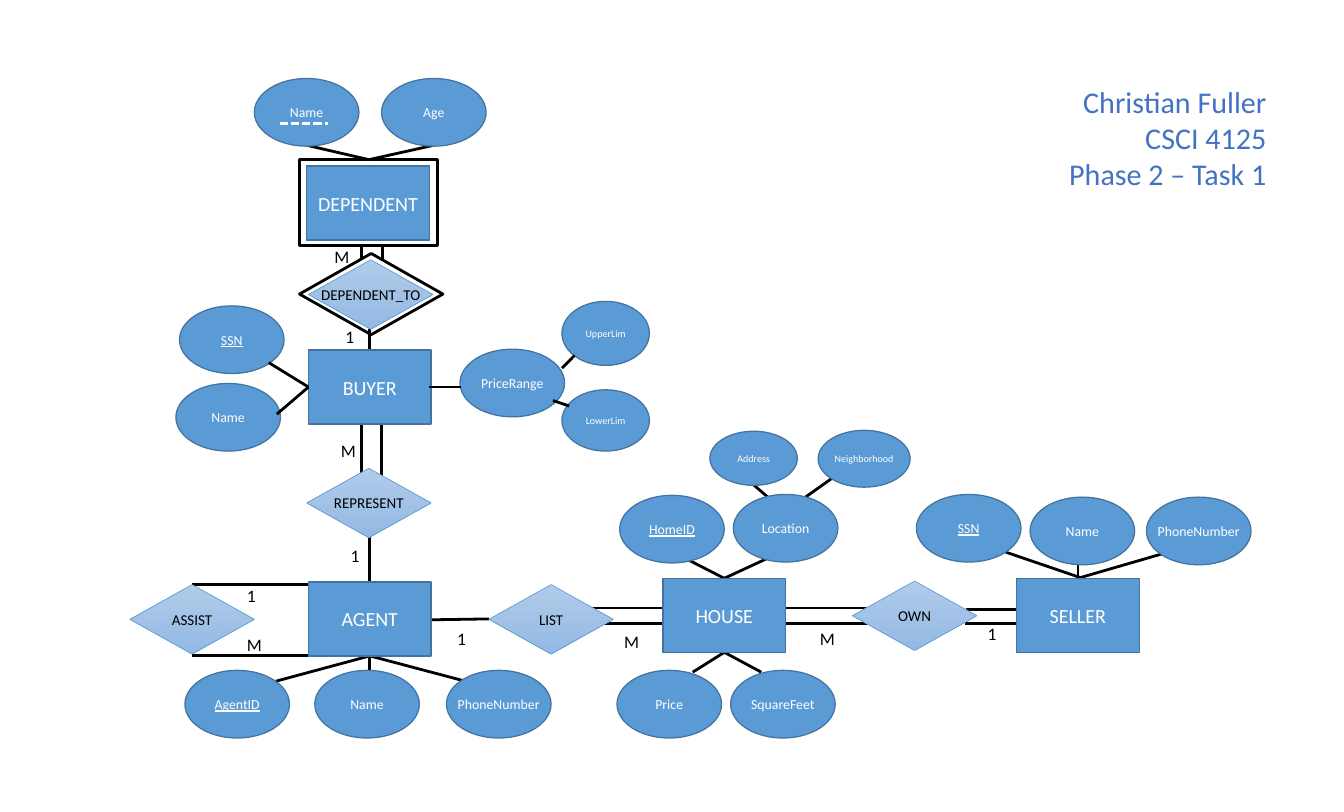
from lxml import etree
from pptx import Presentation
from pptx.dml.color import RGBColor
from pptx.enum.dml import MSO_LINE
from pptx.enum.shapes import MSO_CONNECTOR, MSO_SHAPE
from pptx.enum.text import MSO_ANCHOR, MSO_AUTO_SIZE, PP_ALIGN
from pptx.oxml.ns import qn
from pptx.util import Inches, Pt

RECTANGLE, OVAL, DIAMOND = MSO_SHAPE.RECTANGLE, MSO_SHAPE.OVAL, MSO_SHAPE.DIAMOND
STRAIGHT = MSO_CONNECTOR.STRAIGHT
DASH = MSO_LINE.SQUARE_DOT
MIDDLE, TOP = MSO_ANCHOR.MIDDLE, MSO_ANCHOR.TOP
LEFT, CENTER, RIGHT = PP_ALIGN.LEFT, PP_ALIGN.CENTER, PP_ALIGN.RIGHT

COLORS = {
    "blue": "5B9BD5", "edge": "43739E", "pale": "B1CBE9", "deep": "93B9E4",
    "black": "000000", "white": "FFFFFF", "title": "4472C4",
}
FONT = "Calibri"
ENTITY = (1.36, 0.82)
RELATION = (1.38, 0.77)
ATTRIBUTE = (1.16, 0.75)
LABEL_WIDTHS = {"1": 0.3, "M": 0.37}


def color(name):
    return RGBColor.from_string(COLORS[name])


def format_para(para, size, tint, align):
    para.alignment = align
    para.font.name = FONT
    para.font.size = Pt(size)
    para.font.color.rgb = color(tint)


def add_block(page, kind, box, line, width):
    """Outlined preset shape without fill; box is left, top, width, height."""
    block = page.shapes.add_shape(kind, *map(Inches, box))
    block.shadow.inherit = False
    block.fill.background()
    block.line.color.rgb = color(line)
    block.line.width = Pt(width)
    return block


def add_node(page, kind, box, text, size, tint="white", key=False):
    """Filled shape with a centred name, underlined when it is a key."""
    shaded = kind == DIAMOND
    node = add_block(page, kind, box, "blue" if shaded else "edge", 0.5 if shaded else 1)
    if shaded:
        node.fill.gradient()
        node.fill.gradient_angle = 270
        for stop, name in zip(node.fill.gradient_stops, ("pale", "deep")):
            stop.color.rgb = color(name)
    else:
        node.fill.solid()
        node.fill.fore_color.rgb = color("blue")
    frame = node.text_frame
    frame.word_wrap = False
    frame.vertical_anchor = MIDDLE
    para = frame.paragraphs[0]
    para.text = text
    format_para(para, size, tint, CENTER)
    if key:
        para.font.underline = True


def add_link(page, origin, ends, tint="black"):
    """Line whose ends (x1, y1, x2, y2) are measured from origin."""
    left, top = origin
    x1, y1, x2, y2 = ends
    link = page.shapes.add_connector(
        STRAIGHT, Inches(left + x1), Inches(top + y1), Inches(left + x2), Inches(top + y2))
    link.line.color.rgb = color(tint)
    link.line.width = Pt(2.25)
    etree.SubElement(link._element.spPr, qn("a:effectLst"))
    return link


def add_label(page, left, top, text):
    box = page.shapes.add_textbox(
        Inches(left), Inches(top), Inches(LABEL_WIDTHS[text]), Inches(0.34))
    box.text_frame.word_wrap = True
    para = box.text_frame.paragraphs[0]
    para.text = text
    format_para(para, 14, "black", LEFT)


def add_entity(page, origin, name, attributes, links, links_on_top=False):
    """Entity at origin with its attributes and links, placed relative to it."""
    left, top = origin

    def draw_links():
        for ends in links:
            add_link(page, origin, ends)

    if not links_on_top:
        draw_links()
    add_node(page, RECTANGLE, (*origin, *ENTITY), name, 16)
    for text, x, y, *size in attributes:
        box = (left + x, top + y, *(size or ATTRIBUTE))
        add_node(page, OVAL, box, text, 8 if size else 11,
                 key=text in ("SSN", "HomeID", "AgentID"))
    if links_on_top:
        draw_links()


def add_relationship(page, origin, name, links, labels):
    """Diamond at origin with its links and cardinalities, placed relative to it."""
    left, top = origin
    for ends in links:
        add_link(page, origin, ends)
    add_node(page, DIAMOND, (*origin, *RELATION), name, 12, "black")
    for text, x, y in labels:
        add_label(page, left + x, top + y, text)


def add_dependent(page, origin):
    """Weak entity: double frame and a dashed partial key."""
    left, top = origin
    add_entity(page, origin, "DEPENDENT",
               [("Name", -0.58, -0.97), ("Age", 0.83, -0.97)],
               [(0, -0.23, 0.69, -0.07), (0.69, -0.07, 1.41, -0.23)])
    add_block(page, RECTANGLE, (left - 0.08, top - 0.07, 1.53, 0.95), "black", 2.25)
    partial_key = add_link(page, origin, (-0.3, -0.47, 0.24, -0.47), "white")
    partial_key.line.dash_style = DASH


def add_dependent_to(page, origin):
    """Identifying relationship: double diamond."""
    left, top = origin
    add_relationship(page, origin, "DEPENDENT_TO",
                     [(0.59, -0.16, 0.59, 0), (0.82, -0.16, 0.82, 0), (0.68, 0.77, 0.68, 1)],
                     [("M", 0.19, -0.2), ("1", 0.31, 0.68)])
    add_block(page, DIAMOND, (left - 0.1, top - 0.07, 1.59, 0.9), "black", 2.25)


def add_title(page, box):
    title = page.shapes.title
    title.left, title.top, title.width, title.height = map(Inches, box)
    frame = title.text_frame
    frame.text = "Christian Fuller\nCSCI 4125\nPhase 2 – Task 1"
    frame.word_wrap = True
    frame.auto_size = MSO_AUTO_SIZE.NONE
    frame.vertical_anchor = TOP
    for para in frame.paragraphs:
        format_para(para, 24, "title", RIGHT)


def main():
    deck = Presentation()
    deck.slide_width, deck.slide_height = Inches(14.9), Inches(9)
    page = deck.slides.add_slide(deck.slide_layouts[5])
    add_title(page, (10.94, 0.87, 3.2, 1.31))

    add_relationship(page, (3.4, 5.19), "REPRESENT",
                     [(0.61, -0.49, 0.61, 0.09), (0.83, -0.51, 0.83, 0.09),
                      (0.7, 0.75, 0.7, 1.27)],
                     [("M", 0.28, -0.36), ("1", 0.39, 0.8)])
    add_relationship(page, (1.44, 6.48), "ASSIST",
                     [(0.69, y, 1.98, y) for y in (0, 0.79)],
                     [("1", 1.2, -0.05), ("M", 1.2, 0.5)])
    add_relationship(page, (5.42, 6.48), "LIST",
                     [(-0.64, 0.39, 0, 0.38), (1.12, 0.26, 1.93, 0.26),
                      (1.27, 0.43, 1.93, 0.43)],
                     [("1", -0.45, 0.43), ("M", 1.4, 0.46)])
    add_relationship(page, (9.45, 6.44), "OWN",
                     [(-0.74, 0.3, 0.18, 0.3), (-0.74, 0.47, 0.18, 0.47),
                      (1.26, 0.32, 2, 0.32), (1.25, 0.47, 2, 0.47)],
                     [("M", -0.46, 0.47), ("1", 1.4, 0.42)])
    add_dependent_to(page, (3.42, 2.88))

    add_dependent(page, (3.4, 1.84))
    add_entity(page, (3.42, 3.88), "BUYER",
               [("SSN", -1.43, -0.49), ("Name", -1.47, 0.37), ("PriceRange", 1.68, -0.01),
                ("UpperLim", 2.81, -0.54, 0.97, 0.71), ("LowerLim", 2.81, 0.44, 0.97, 0.68)],
               [(-0.44, 0.14, 0, 0.41), (-0.35, 0.71, 0, 0.41), (1.34, 0.41, 1.69, 0.41),
                (2.81, 0.2, 2.95, 0.06), (2.71, 0.56, 2.89, 0.62)], links_on_top=True)
    add_entity(page, (3.42, 6.45), "AGENT",
               [("AgentID", -1.37, 0.98), ("Name", 0.07, 0.98), ("PhoneNumber", 1.53, 0.98)],
               [(0.68, 0.82, x, y) for x, y in ((-0.36, 1.1), (0.68, 0.98), (1.7, 1.09))])
    add_entity(page, (7.35, 6.41), "HOUSE",
               [("HomeID", -0.48, -0.92), ("Location", 0.78, -0.93),
                ("Address", 0.52, -1.63, 0.97, 0.6),
                ("Neighborhood", 1.72, -1.64, 1.02, 0.63),
                ("Price", -0.51, 1.02), ("SquareFeet", 0.75, 1.02)],
               [(0.27, -0.21, 0.68, 0), (1.22, -0.25, 0.68, 0),
                (1, -1.04, 1.22, -0.85), (1.89, -1.12, 1.58, -0.9),
                (0.68, 0.82, 0.33, 1.04), (0.68, 0.82, 1.09, 1.04)])
    add_entity(page, (11.27, 6.41), "SELLER",
               [("SSN", -1.11, -0.93), ("Name", 0.15, -0.9), ("PhoneNumber", 1.44, -0.9)],
               [(-0.12, -0.29, 0.73, 0), (0.68, -0.21, 0.68, 0.02), (0.68, 0, 1.61, -0.27)])
    deck.save("out.pptx")


if __name__ == "__main__":
    main()
